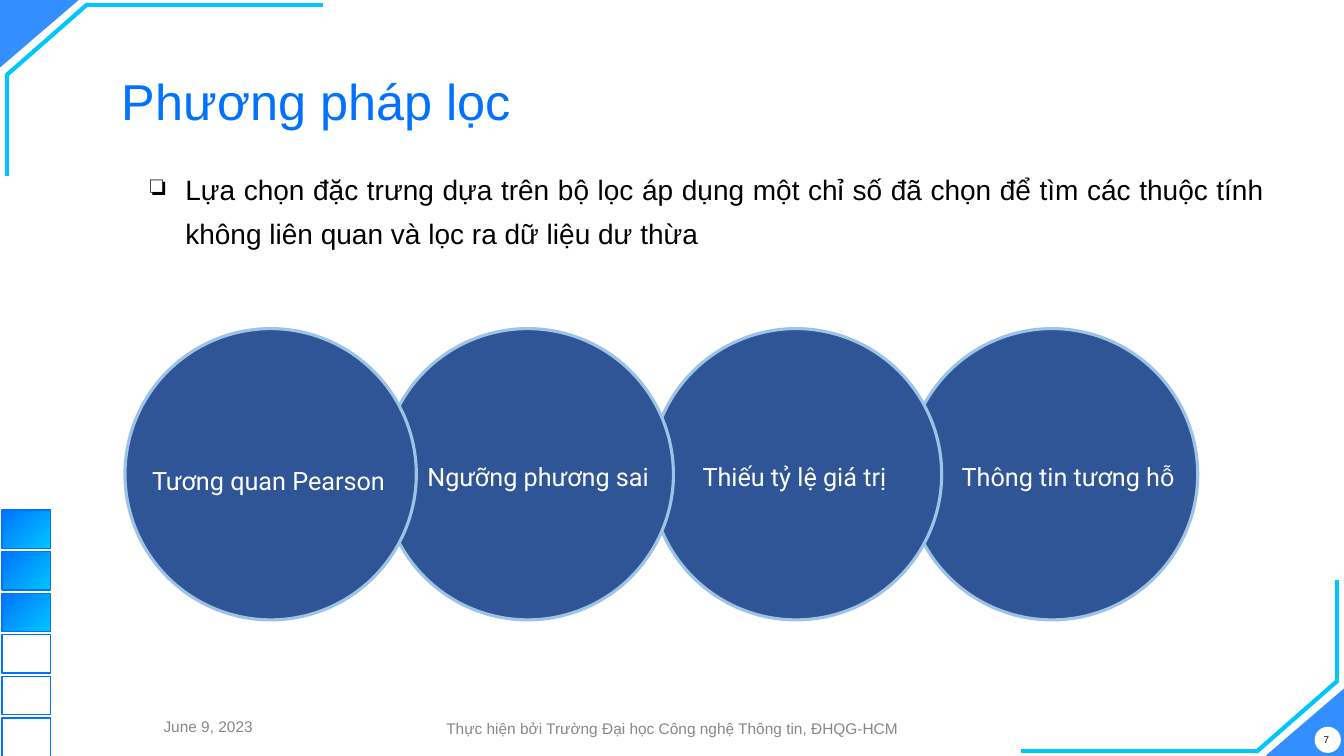
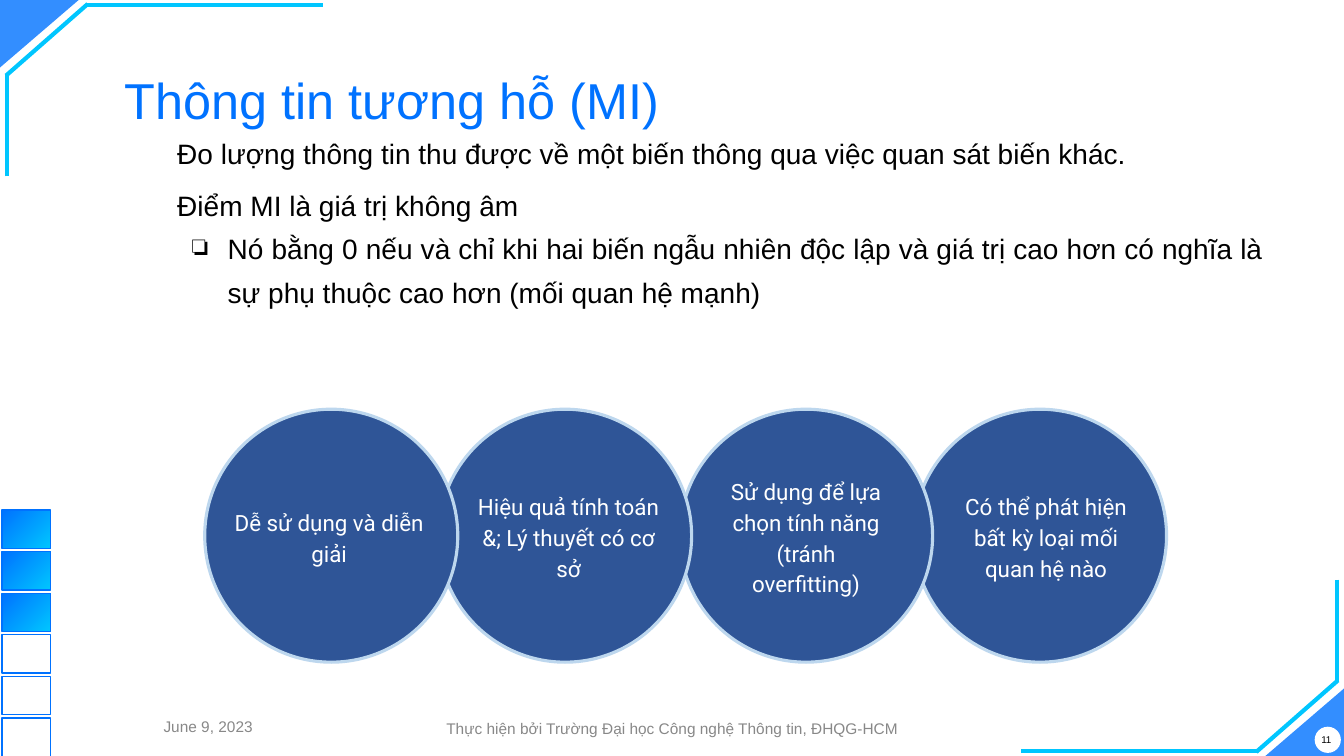
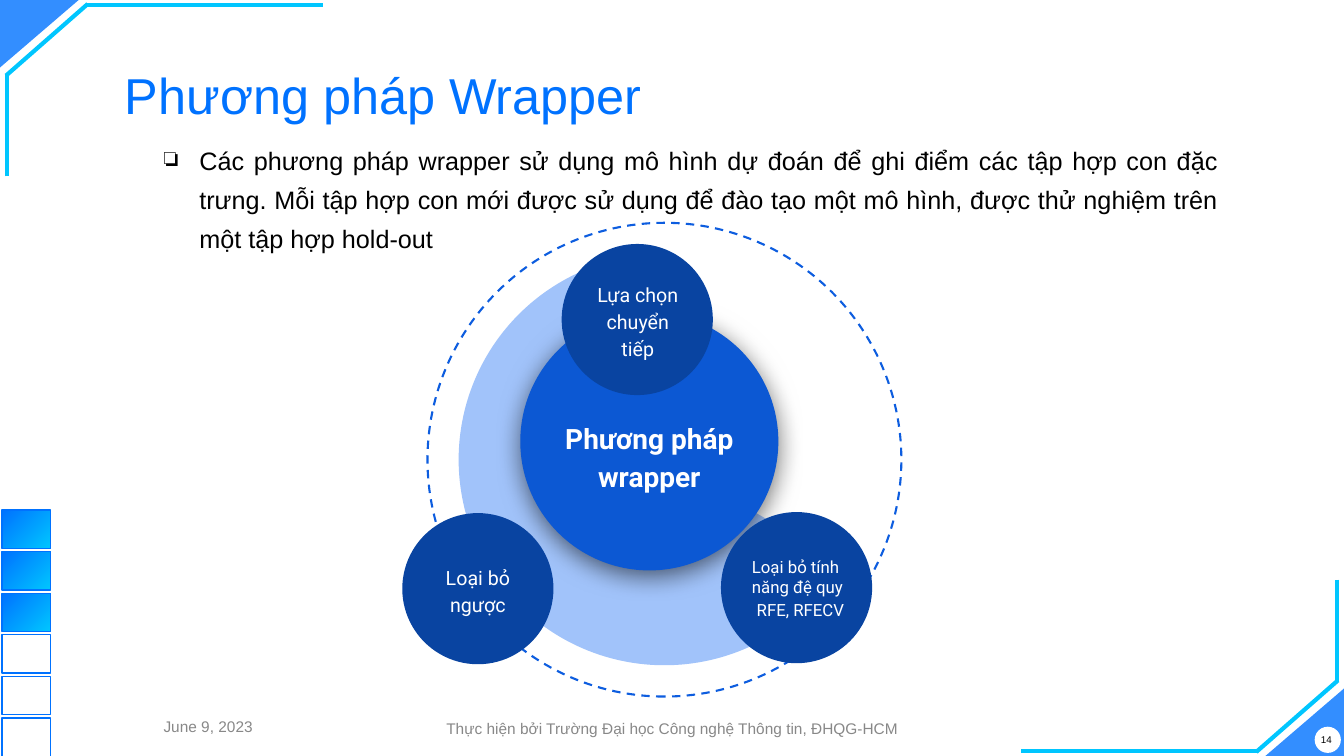
from dataclasses import dataclass

from lxml.etree import SubElement
from pptx import Presentation
from pptx.dml.color import RGBColor
from pptx.enum.dml import MSO_LINE_DASH_STYLE as Dash
from pptx.enum.shapes import MSO_CONNECTOR as Connector, MSO_SHAPE as Geometry
from pptx.enum.text import MSO_ANCHOR as Anchor, PP_ALIGN as Align
from pptx.oxml.ns import qn
from pptx.util import Inches, Pt


@dataclass(frozen=True)
class Theme:
    blue: str = "0072FF"
    cyan: str = "00C6FF"
    white: str = "FFFFFF"
    black: str = "000000"
    gray: str = "888888"
    navy: str = "2F5597"
    ring: str = "0D5DDF"
    pie: str = "A1C3FA"
    hub: str = "0C58D3"
    satellite: str = "0944A1"
    body_font: str = "Arial"
    label_font: str = "Roboto"
    title_size: int = 36
    body_size: int = 20
    small_body_size: int = 18
    footer_size: int = 11
    number_size: int = 7


theme = Theme()
presentation = Presentation()
presentation.slide_width = Inches(13.33)
presentation.slide_height = Inches(7.5)
column = presentation.slide_width / 100
row = presentation.slide_height / 100


def draw(slide, geometry, left, top, width, height=None, fill=None, line=None, weight=1):
    across = int(width * column)
    down = int(height * row) if height else across
    shape = slide.shapes.add_shape(geometry, int(left * column), int(top * row), across, down)
    shape.shadow.inherit = False
    if fill:
        shape.fill.solid()
        shape.fill.fore_color.rgb = RGBColor.from_string(fill)
    else:
        shape.fill.background()
    if line:
        shape.line.color.rgb = RGBColor.from_string(line)
        shape.line.width = Pt(weight)
    else:
        shape.line.fill.background()
    return shape


def write(slide, box, lines, size, color, font=theme.body_font, align=Align.CENTER,
          spacing=1.0, anchor=Anchor.MIDDLE, inset=0.1, bullet_from=None):
    left, top, width, height = box
    shape = slide.shapes.add_textbox(int(left * column), int(top * row),
                                     int(width * column), int(height * row))
    frame = shape.text_frame
    frame.word_wrap = True
    frame.vertical_anchor = anchor
    frame.margin_left = frame.margin_right = Inches(0.1)
    frame.margin_top = frame.margin_bottom = Inches(inset)
    frame.text = "\n".join(lines)
    for index, paragraph in enumerate(frame.paragraphs):
        if bullet_from is not None and index >= bullet_from:
            properties = paragraph._p.get_or_add_pPr()
            properties.set("marL", str(Inches(0.5)))
            properties.set("indent", str(-Inches(0.35)))
            SubElement(properties, qn("a:buChar")).set("char", "❏")
        paragraph.alignment = align
        paragraph.line_spacing = spacing
        paragraph.font.size = Pt(size)
        paragraph.font.name = font
        paragraph.font.color.rgb = RGBColor.from_string(color)
    return frame.paragraphs


pages = [
    ("7", "Phương pháp lọc", (8.33, 8.8), (9.3, 20.13, 85.52, 14.93), theme.body_size, 0,
     ["Lựa chọn đặc trưng dựa trên bộ lọc áp dụng một chỉ số đã chọn để tìm các thuộc tính "
      "không liên quan và lọc ra dữ liệu dư thừa"]),
    ("11", "Thông tin tương hỗ (MI)", (8.55, 8.67), (12.45, 16.67, 82.3, 29.33), theme.body_size, 2,
     ["Đo lượng thông tin thu được về một biến thông qua việc quan sát biến khác.",
      "Điểm MI là giá trị không âm",
      "Nó bằng 0 nếu và chỉ khi hai biến ngẫu nhiên độc lập và giá trị cao hơn có nghĩa là "
      "sự phụ thuộc cao hơn (mối quan hệ mạnh)"]),
    ("14", "Phương pháp Wrapper", (8.55, 8), (10.35, 16.67, 81.02, 17.07), theme.small_body_size, 0,
     ["Các phương pháp wrapper sử dụng mô hình dự đoán để ghi điểm các tập hợp con đặc trưng. "
      "Mỗi tập hợp con mới được sử dụng để đào tạo một mô hình, được thử nghiệm trên "
      "một tập hợp hold-out"]),
]
corner_lines = [((24, 0.67), (6.38, 0.67)), ((6.53, 0.53), (0.45, 10)), ((0.53, 23.33), (0.53, 9.73))]
corner_width, corner_height = 5.85, 8.93

slides = []
bodies = []
for number, title, title_place, body_box, body_size, bullet_from, body_lines in pages:
    slide = presentation.slides.add_slide(presentation.slide_layouts[6])
    slides.append(slide)

    for mirrored in (False, True):
        triangle = draw(slide, Geometry.ISOSCELES_TRIANGLE,
                        100 - corner_width if mirrored else 0,
                        100 - corner_height if mirrored else 0,
                        corner_width, corner_height, theme.blue)
        triangle.adjustments[0] = 1
        triangle.rotation = 0 if mirrored else 180
        color = triangle._element.spPr.find(qn("a:solidFill"))[0]
        SubElement(color, qn("a:alpha")).set("val", "80000")
        for points in corner_lines:
            start, end = [(100 - x, 100 - y) if mirrored else (x, y) for x, y in points]
            connector = slide.shapes.add_connector(
                Connector.STRAIGHT, int(start[0] * column), int(start[1] * row),
                int(end[0] * column), int(end[1] * row))
            connector.line.color.rgb = RGBColor.from_string(theme.cyan)
            connector.line.width = Pt(3)
            SubElement(connector._element.spPr, qn("a:effectLst"))

    draw(slide, Geometry.OVAL, 97.82, 96.13, 1.95, fill=theme.white)
    for index in range(6):
        square = draw(slide, Geometry.RECTANGLE, 0.15, 67.47 + 5.5 * index, 3.6, 5.07, line=theme.blue)
        if index < 3:
            square.fill.gradient()
            square.fill.gradient_angle = 315
            for stop, color in zip(square.fill.gradient_stops, (theme.blue, theme.cyan)):
                stop.color.rgb = RGBColor.from_string(color)

    for box, text, size, color in [
        ((29.93, 94.4, 40.21, 3.87), "Thực hiện bởi Trường Đại học Công nghệ Thông tin, ĐHQG-HCM",
         theme.footer_size, theme.gray),
        ((96.02, 95.73, 5.33, 4.27), number, theme.number_size, theme.black),
        ((6.9, 94.13, 17.18, 3.87), "June 9, 2023", theme.footer_size, theme.gray),
    ]:
        write(slide, box, [text], size, color, inset=0.05)
    write(slide, (*title_place, 69.92, 8.4), [title], theme.title_size, theme.blue,
          align=Align.LEFT, spacing=0.9, anchor=Anchor.TOP)
    bodies.append(write(slide, body_box, body_lines, body_size, theme.black, align=Align.JUSTIFY,
                        spacing=1.3, anchor=Anchor.TOP, bullet_from=bullet_from))

filter_slide, information_slide, wrapper_slide = slides
opening, score, _ = bodies[1]
opening.line_spacing = 1.0
score.space_before = Pt(6)

chains = [
    (filter_slide, 43.47, 21.68, "9DC3E6", 18, 10.8, [
        (67.44, 70.44, 57.33, 18.08, Align.CENTER, "Thông tin tương hỗ"),
        (48.39, 49.74, 57.33, 18.75, Align.CENTER, "Thiếu tỷ lệ giá trị"),
        (28.43, 31.06, 57.33, 20.48, Align.LEFT, "Ngưỡng phương sai"),
        (9.3, 10.58, 57.87, 20.4, Align.LEFT, "Tương quan Pearson")]),
    (information_slide, 54.13, 18.83, "BDD7EE", 16, 9.47, [
        (67.97, 69.99, 66.13, 15.68, Align.CENTER, "Có thể phát hiện bất kỳ loại mối quan hệ nào"),
        (50.56, 53.41, 66.13, 13.13, Align.CENTER, "Sử dụng để lựa chọn tính năng (tránh overfitting)"),
        (32.63, 34.28, 66.13, 16.05, Align.CENTER, "Hiệu quả tính toán &; Lý thuyết có cơ sở"),
        (15.23, 15.75, 66.13, 17.48, Align.CENTER, "Dễ sử dụng và diễn giải")]),
]
for slide, top, diameter, outline, size, label_height, circles in chains:
    for left, label_left, label_top, label_width, align, text in circles:
        draw(slide, Geometry.OVAL, left, top, diameter, fill=theme.navy, line=outline, weight=2.25)
        write(slide, (label_left, label_top, label_width, label_height), [text], size,
              theme.white, theme.label_font, align, 1.15)

orbit = draw(wrapper_slide, Geometry.OVAL, 31.81, 29.47, 35.26, line=theme.ring, weight=1.5)
orbit.rotation = 270
orbit.line.dash_style = Dash.DASH
pie = draw(wrapper_slide, Geometry.PIE, 34.13, 33.6, 30.61, fill=theme.pie)
for index, degrees in enumerate((30.2, 270.25)):
    pie.adjustments[index] = degrees * 0.6

hub = draw(wrapper_slide, Geometry.OVAL, 38.71, 41.33, 19.2, fill=theme.hub)
effects = hub._element.spPr.find(qn("a:effectLst"))
shadow = SubElement(effects, qn("a:outerShdw"), blurRad=str(Pt(18)), dist=str(Pt(4)),
                    dir="5400000", algn="ctr", rotWithShape="0")
shadow_color = SubElement(shadow, qn("a:srgbClr"), val=theme.black)
SubElement(shadow_color, qn("a:alpha"), val="55000")
for paragraph in write(wrapper_slide, (36.91, 52.4, 22.81, 15.47), ["Phương pháp", "wrapper"],
                       20, theme.white, theme.label_font, spacing=1.15):
    paragraph.font.bold = True

for left, top, label_left, label_width, size, lines in [
    (41.79, 32.27, 43.44, 8.03, 14, ["Lựa chọn chuyển tiếp"]),
    (29.93, 67.87, 31.06, 9, 14, ["Loại bỏ ngược"]),
    (53.64, 67.73, 55.21, 8.7, 12, ["Loại bỏ tính năng đệ quy", "RFE, RFECV"]),
]:
    draw(wrapper_slide, Geometry.OVAL, left, top, 11.25, fill=theme.satellite)
    label = write(wrapper_slide, (label_left, top + 3.2, label_width, 13.73), lines, size,
                  theme.white, theme.label_font, spacing=1.15)
    if len(label) > 1:
        label[0].alignment = Align.LEFT
        label[0].line_spacing = 1.0

presentation.save("out.pptx")
